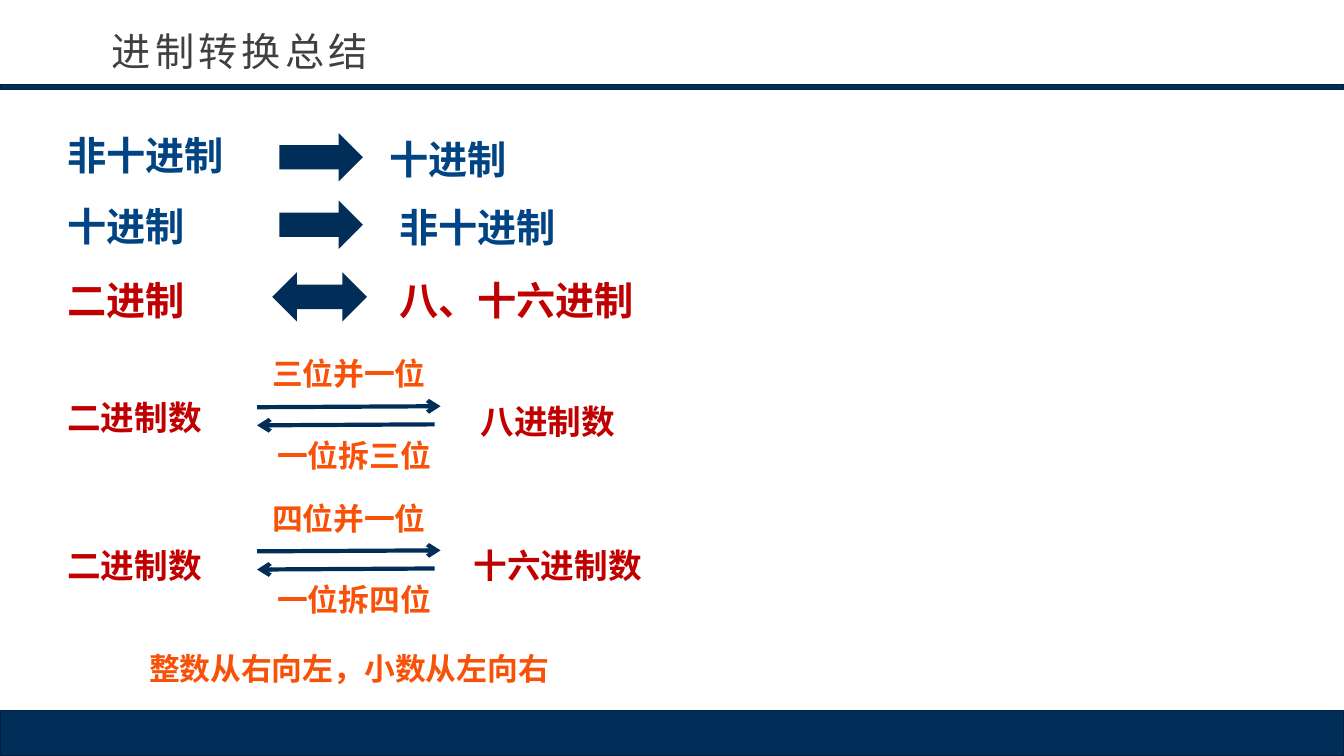
import pptx
import pptx.util
import pptx.dml.color
import pptx.enum.shapes
import pptx.enum.text
from lxml import etree
from pptx.util import Inches, Pt

NAVY, BLUE, RED, ORANGE = "002E59", "004483", "C00000", "F85208"
HEIGHTS = {28: 0.66, 24: 0.58, 22: 0.54}
SHAPE = pptx.enum.shapes.MSO_SHAPE

prs = pptx.Presentation()
prs.slide_width, prs.slide_height = Inches(13.33), Inches(7.5)
s = prs.slides.add_slide(prs.slide_layouts[6])


def rgb(color):
    return pptx.dml.color.RGBColor.from_string(color)


def add_text(text, x, y, w, size, color, font="Arial", bold=True, wrap=True):
    """Add a one-line text box and return its run."""
    tf = s.shapes.add_textbox(Inches(x), Inches(y), Inches(w), Inches(HEIGHTS[size])).text_frame
    tf.word_wrap = wrap
    tf.auto_size = pptx.enum.text.MSO_AUTO_SIZE.SHAPE_TO_FIT_TEXT
    tf.vertical_anchor = pptx.enum.text.MSO_ANCHOR.MIDDLE
    tf.text = text
    p = tf.paragraphs[0]
    p.line_spacing = 1.2
    r = p.runs[0]
    r.font.size, r.font.bold, r.font.name = Pt(size), bold, font
    r.font.color.rgb = rgb(color)
    etree.SubElement(r.font._element, pptx.oxml.ns.qn("a:ea"), typeface=font)
    return r


# Footer band and title rule
for y, h in [(7.05, 0.45), (0.84, 0.05)]:
    band = s.shapes.add_shape(SHAPE.RECTANGLE, 0, Inches(y), prs.slide_width, Inches(h))
    band.shadow.inherit = False
    band.fill.solid()
    band.fill.fore_color.rgb = rgb(NAVY)
    band.line.color.rgb = rgb("002242")
    band.line.width = Pt(1)

title = add_text("进制转换总结", 1.01, 0.13, 8.44, 28, "404040", "Noto Sans CJK SC", bold=False)
title.font._element.set("spc", "300")

# Conversions with block arrows: source, its top, target, its place, colour, arrow
conversions = [
    ("非十进制", 1.16, "十进制", 3.76, 1.2, BLUE, SHAPE.RIGHT_ARROW, (2.77, 1.32, 0.83, 0.48)),
    ("十进制", 1.86, "非十进制", 3.86, 1.87, BLUE, SHAPE.RIGHT_ARROW, (2.77, 1.99, 0.83, 0.48)),
    ("二进制", 2.6, "八、十六进制", 3.86, 2.6, RED, SHAPE.LEFT_RIGHT_ARROW, (2.7, 2.7, 0.94, 0.49)),
]
for source, source_y, target, target_x, target_y, color, kind, place in conversions:
    add_text(source, 0.57, source_y, 2.15, 28, color)
    add_text(target, target_x, target_y, 3.62, 28, color)
    arrow = s.shapes.add_shape(kind, *map(Inches, place))
    arrow.shadow.inherit = False
    arrow.fill.solid()
    arrow.fill.fore_color.rgb = rgb(NAVY)
    arrow.line.fill.background()

# Digit grouping rules, each with a pair of opposite thin arrows
rules = [
    (3.4, 3.81, "八进制数", 4.67, 3.85, "三位并一位", "一位拆三位"),
    (4.83, 5.28, "十六进制数", 4.6, 5.28, "四位并一位", "一位拆四位"),
]
for top, binary_y, target, target_x, target_y, merge, split in rules:
    add_text("二进制数", 0.57, binary_y, 2.39, 24, RED)
    add_text(target, target_x, target_y, 2.52, 24, RED)
    add_text(merge, 2.6, top, 1.73, 22, ORANGE, wrap=False)
    add_text(split, 2.65, top + 0.81, 1.73, 22, ORANGE, wrap=False)
    for x1, y1, x2, y2 in [(2.55, 0.64, 4.37, 0.63), (4.31, 0.81, 2.55, 0.82)]:
        line = s.shapes.add_connector(
            pptx.enum.shapes.MSO_CONNECTOR.STRAIGHT,
            Inches(x1), Inches(top + y1), Inches(x2), Inches(top + y2))
        line.line.color.rgb = rgb(NAVY)
        line.line.width = Pt(3)
        etree.SubElement(line.line._get_or_add_ln(), pptx.oxml.ns.qn("a:tailEnd"), type="arrow")
        etree.SubElement(line._element.spPr, pptx.oxml.ns.qn("a:effectLst"))

add_text("整数从右向左，小数从左向右", 1.38, 6.32, 4.17, 22, ORANGE, wrap=False)

prs.save("out.pptx")
